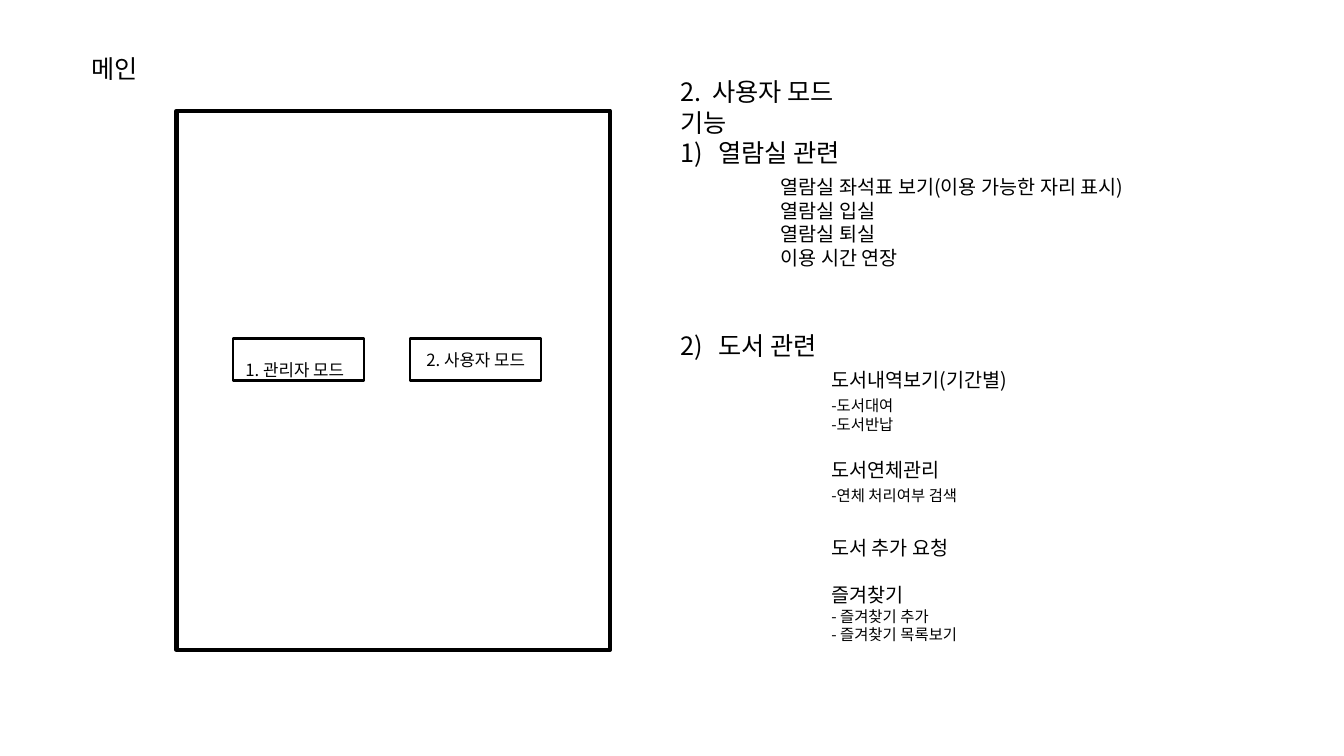
from lxml.etree import SubElement
from pptx import Presentation
from pptx.dml.color import RGBColor
from pptx.enum.shapes import MSO_SHAPE
from pptx.enum.text import MSO_ANCHOR, MSO_AUTO_SIZE, PP_ALIGN
from pptx.oxml.ns import qn
from pptx.util import Cm, Pt

COLORS = {"ink": "000000", "paper": "FFFFFF"}
FONT = "Noto Sans CJK KR"
LINE_RATIO = 1.21
ROOM_INDENT, BOOK_INDENT, NUMBER_INDENT = 2.54, 3.81, 0.97

# Text, then its format: size, line (size the row is spaced for), before, left, number, level
ROOM = {"size": 14, "left": ROOM_INDENT}
BOOK = {"size": 14, "left": BOOK_INDENT, "level": 1}
DETAIL = {**BOOK, "size": 11}
USER_MODE = [
    ("2.  사용자 모드", {}),
    ("기능", {}),
    ("열람실 관련", {"number": 1}),
    ("열람실 좌석표 보기(이용 가능한 자리 표시)", {**ROOM, "line": 18}),
    ("열람실 입실", ROOM),
    ("열람실 퇴실", ROOM),
    ("이용 시간 연장", ROOM),
    ("도서 관련", {"number": 2, "before": 43.5}),
    ("도서내역보기(기간별)", {**BOOK, "line": 18}),
    ("-도서대여", {**DETAIL, "line": 14}),
    ("-도서반납", DETAIL),
    ("도서연체관리", {**BOOK, "before": 17}),
    ("-연체 처리여부 검색", {**DETAIL, "line": 14}),
    ("도서 추가 요청", {**BOOK, "line": 18, "before": 17}),
    ("즐겨찾기", {**BOOK, "before": 17}),
    ("- 즐겨찾기 추가", DETAIL),
    ("- 즐겨찾기 목록보기", DETAIL),
]


def rgb(name):
    return RGBColor.from_string(COLORS[name])


def write(p, text, size=18, line=None, before=0, left=0, number=None, level=0, align=None):
    p.level = level
    p.alignment = align
    p.line_spacing = Pt(round((line or size) * LINE_RATIO, 1))
    p.space_before = Pt(before)
    pPr = p._p.get_or_add_pPr()
    indent = NUMBER_INDENT if number else 0
    pPr.set("marL", str(Cm(left + indent)))
    pPr.set("indent", str(Cm(-indent)))
    if number:
        SubElement(pPr, qn("a:buFont"), typeface="+mj-lt")
        SubElement(pPr, qn("a:buAutoNum"), type="arabicParenR", startAt=str(number))
    r = p.add_run()
    r.text = text
    r.font.size = Pt(size)
    r.font.name = FONT
    r.font.color.rgb = rgb("ink")
    SubElement(r._r.get_or_add_rPr(), qn("a:ea"), typeface=FONT)


def add_text(s, left, top, width, height, rows):
    tf = s.shapes.add_textbox(Cm(left), Cm(top), Cm(width), Cm(height)).text_frame
    tf.word_wrap = True
    tf.auto_size = MSO_AUTO_SIZE.SHAPE_TO_FIT_TEXT
    for i, (text, style) in enumerate(rows):
        write(tf.add_paragraph() if i else tf.paragraphs[0], text, **style)


def add_box(s, left, top, width, height, weight, fill=None):
    sp = s.shapes.add_shape(MSO_SHAPE.RECTANGLE, Cm(left), Cm(top), Cm(width), Cm(height))
    sp.shadow.inherit = False
    if fill:
        sp.fill.solid()
        sp.fill.fore_color.rgb = rgb(fill)
    else:
        sp.fill.background()
    sp.line.color.rgb = rgb("ink")
    sp.line.width = Pt(weight)
    return sp


def add_button(s, left, text, top_inset=0.13, right_inset=0.25):
    tf = add_box(s, left, 8.53, 3.3, 1.06, 1.75, fill="paper").text_frame
    tf.word_wrap = True
    tf.vertical_anchor = MSO_ANCHOR.MIDDLE
    tf.margin_top, tf.margin_right = Cm(top_inset), Cm(right_inset)
    write(tf.paragraphs[0], text, size=12, align=PP_ALIGN.CENTER)


def main():
    prs = Presentation()
    prs.slide_width, prs.slide_height = Cm(33.87), Cm(19.05)
    s = prs.slides.add_slide(prs.slide_layouts[6])

    # Main screen with its two mode buttons
    add_text(s, 2.06, 1.22, 5.46, 1.8, [("메인", {})])
    add_box(s, 4.45, 2.79, 10.92, 13.59, 3)
    add_button(s, 5.87, "1. 관리자 모드", top_inset=0.63, right_inset=0.43)
    add_button(s, 10.34, "2. 사용자 모드")

    # Functions of the user mode
    add_text(s, 16.89, 1.8, 12.98, 14.58, USER_MODE)

    prs.save("out.pptx")


if __name__ == "__main__":
    main()
